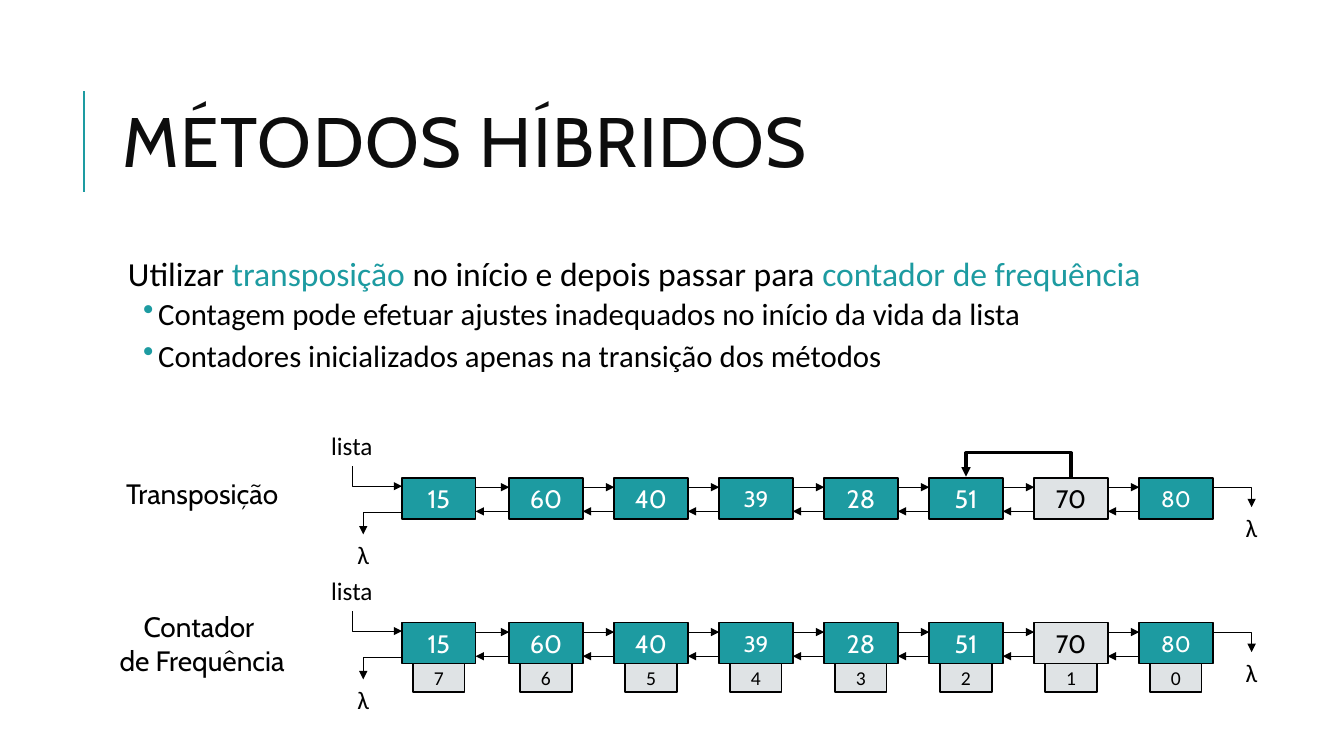
from dataclasses import dataclass

from lxml import etree
from pptx import Presentation
from pptx import util as u
from pptx.dml.color import RGBColor
from pptx.enum import shapes, text
from pptx.oxml.ns import qn


@dataclass(frozen=True)
class Theme:
    """Colours, faces and type sizes of the slide."""
    teal: str = "1D9BA1"
    grey: str = "DFE3E5"
    ink: str = "000000"
    dark: str = "0D0D0D"
    white: str = "FFFFFF"
    head: str = "Cabin"
    body: str = "Calibri"
    title: int = 50
    lead: int = 24
    point: int = 22
    label: int = 20
    node: int = 18
    small: int = 16
    count: int = 14


T = Theme()
WIDE, HIGH = u.Inches(13.333), u.Inches(7.5)
COLS, ROWS = 128, 72
CELL_W, CELL_H = 7, 3.9
LEFTS = [38.3] + [48.5 + 10 * i for i in range(7)]
NODES = [15, 60, 40, 39, 28, 51, 70, 80]
SMALL, MOVED = (39, 80), 70
TOP, STEP = 45.5, 13.8
MID, LEFT = text.PP_ALIGN.CENTER, text.PP_ALIGN.LEFT


def col(n):
    """Turn grid columns into a length."""
    return round(WIDE * n / COLS)


def row(n):
    """Turn grid rows into a length."""
    return round(HIGH * n / ROWS)


def area(x, y, w, h):
    """Turn a grid area into a frame."""
    return col(x), row(y), col(w), row(h)


def add_run(para, words, size, tint, face):
    """Append one formatted run."""
    run = para.add_run()
    run.text = words
    run.font.size = u.Pt(size)
    run.font.name = face
    run.font.color.rgb = RGBColor.from_string(tint)
    return run


def add_text(slide, spot, lines, size, face, align=MID):
    """Add a text box whose lines share one paragraph."""
    frame = slide.shapes.add_textbox(*area(*spot)).text_frame
    frame.word_wrap = True
    para = frame.paragraphs[0]
    para.alignment = align
    for i, line in enumerate(lines):
        if i:
            para.add_line_break()
        add_run(para, line, size, T.ink, face)


def add_box(slide, spot, words, fill, tint, size, face):
    """Add an outlined rectangle with centred text."""
    box = slide.shapes.add_shape(shapes.MSO_SHAPE.RECTANGLE, *area(*spot))
    box.shadow.inherit = False
    box.fill.solid()
    box.fill.fore_color.rgb = RGBColor.from_string(fill)
    box.line.color.rgb = RGBColor.from_string(T.ink)
    box.line.width = u.Pt(1.25)
    frame = box.text_frame
    frame.vertical_anchor = text.MSO_ANCHOR.MIDDLE
    para = frame.paragraphs[0]
    para.alignment = MID
    add_run(para, words, size, tint, face)


def add_line(slide, x0, y0, x1, y1, tint=T.ink, width=0.75, head=True, kind="line"):
    """Add a connector of a preset kind, with or without an arrowhead."""
    link = slide.shapes.add_connector(
        shapes.MSO_CONNECTOR.STRAIGHT, col(x0), row(y0), col(x1), row(y1))
    link.line.color.rgb = RGBColor.from_string(tint)
    link.line.width = u.Pt(width)
    props = link._element.spPr
    props.find(qn("a:prstGeom")).set("prst", kind)
    if head:
        etree.SubElement(props.find(qn("a:ln")), qn("a:tailEnd"), type="triangle")
    etree.SubElement(props, qn("a:effectLst"))
    return props


def add_turn(slide, x0, y0, x1, y1, kind="bentConnector2", width=0.75):
    """Add a bent arrow that sets off vertically, by a quarter turn."""
    mx, my = (x0 + x1) / 2, (y0 + y1) / 2
    dx, dy = (x1 - x0) / 2, (y1 - y0) / 2
    props = add_line(slide, mx + dy, my - dx, mx - dy, my + dx, width=width, kind=kind)
    props.find(qn("a:xfrm")).set("rot", "16200000")
    return props


def add_swap(slide):
    """Add the heavy arrow that moves a node one place ahead."""
    start = LEFTS[6] + CELL_W / 2
    props = add_turn(slide, start, TOP, start - 10, TOP - 0.1, "bentConnector3", 2.25)
    geom = props.find(qn("a:prstGeom"))
    guides = geom.find(qn("a:avLst"))
    if guides is None:
        guides = etree.SubElement(geom, qn("a:avLst"))
    etree.SubElement(guides, qn("a:gd"), name="adj1", fmla="val 2400000")


def add_list(slide, top, counts=()):
    """Add one doubly linked list with its ends and counters."""
    for x, num in zip(LEFTS, NODES):
        fill, tint = (T.grey, T.ink) if num == MOVED else (T.teal, T.white)
        size = T.small if num in SMALL else T.node
        add_box(slide, (x, top, CELL_W, CELL_H), str(num), fill, tint, size, T.head)
    for x, num in zip(LEFTS, counts):
        add_box(slide, (x + 1.05, top + CELL_H, 4.9, 2.7), str(num),
                T.grey, T.ink, T.count, T.body)
    for x, after in zip(LEFTS, LEFTS[1:]):
        add_line(slide, x + CELL_W, top + 0.9, after, top + 0.9)
        add_line(slide, after, top + 3.2, x + CELL_W, top + 3.2)
    first, last = LEFTS[0], LEFTS[-1] + CELL_W
    add_text(slide, (30.6, top - 5, 5.85, 3.85), ["lista"], T.node, T.body, LEFT)
    add_turn(slide, 33.6, top - 1.1, first, top + 0.8)
    for x, y, end, fall in ((last, 0.9, 119.2, 2.8), (first, 3.3, 34.6, 5.4)):
        add_line(slide, x, top + y, end, top + fall, kind="bentConnector2")
        add_text(slide, (end - 1.5, top + fall, 3, 3.85), ["λ"], T.node, T.body)


def add_title(slide):
    """Place the title and the rule beside it."""
    title = slide.shapes.title
    title.left, title.top, title.width, title.height = area(10.75, 6.15, 102, 15.75)
    frame = title.text_frame
    frame.word_wrap = True
    frame.vertical_anchor = text.MSO_ANCHOR.MIDDLE
    para = frame.paragraphs[0]
    para.alignment = LEFT
    para.line_spacing = 0.8
    run = add_run(para, "MÉTODOS HÍBRIDOS", T.title, T.dark, T.head)
    run._r.get_or_add_rPr().set("spc", "100")
    add_line(slide, 8, 18.25, 8, 8.65, T.teal, 1.5, False)


def add_points(slide):
    """Add the lead sentence and its bullets."""
    frame = slide.shapes.add_textbox(*area(10.75, 24, 102, 42.25)).text_frame
    frame.word_wrap = True
    frame.margin_left = frame.margin_right = u.Inches(0.05)
    para = frame.paragraphs[0]
    para.line_spacing, para.space_after = 0.9, u.Pt(2)
    para._p.get_or_add_pPr().set("marL", str(u.Inches(0.1)))
    for words, tint in (("Utilizar ", T.ink), ("transposição", T.teal),
                        (" no início e depois passar para ", T.ink),
                        ("contador de frequência", T.teal)):
        add_run(para, words, T.lead, tint, T.body)
    for words in ("Contagem pode efetuar ajustes inadequados no início da vida da lista",
                  "Contadores inicializados apenas na transição dos métodos"):
        para = frame.add_paragraph()
        para.level = 1
        para.line_spacing = 0.9
        para.space_before, para.space_after = u.Pt(2), u.Pt(4)
        props = para._p.get_or_add_pPr()
        props.set("marL", str(u.Inches(0.4)))
        props.set("indent", str(u.Inches(-0.15)))
        tint = etree.SubElement(props, qn("a:buClr"))
        etree.SubElement(tint, qn("a:srgbClr"), val=T.teal)
        etree.SubElement(props, qn("a:buChar"), char="•")
        add_run(para, words, T.point, T.ink, T.body)


def main():
    """Build the slide and save it."""
    deck = Presentation()
    deck.slide_width, deck.slide_height = WIDE, HIGH
    slide = deck.slides.add_slide(deck.slide_layouts[5])
    add_title(slide)
    add_points(slide)
    add_text(slide, (10.4, TOP - 0.6, 17.7, 4.2), ["Transposição"], T.label, T.head)
    add_list(slide, TOP)
    add_swap(slide)
    add_text(slide, (10.4, TOP + STEP - 1.7, 17.7, 7.4),
             ["Contador ", "de Frequência"], T.label, T.head)
    add_list(slide, TOP + STEP, range(7, -1, -1))
    deck.save("out.pptx")


if __name__ == "__main__":
    main()
